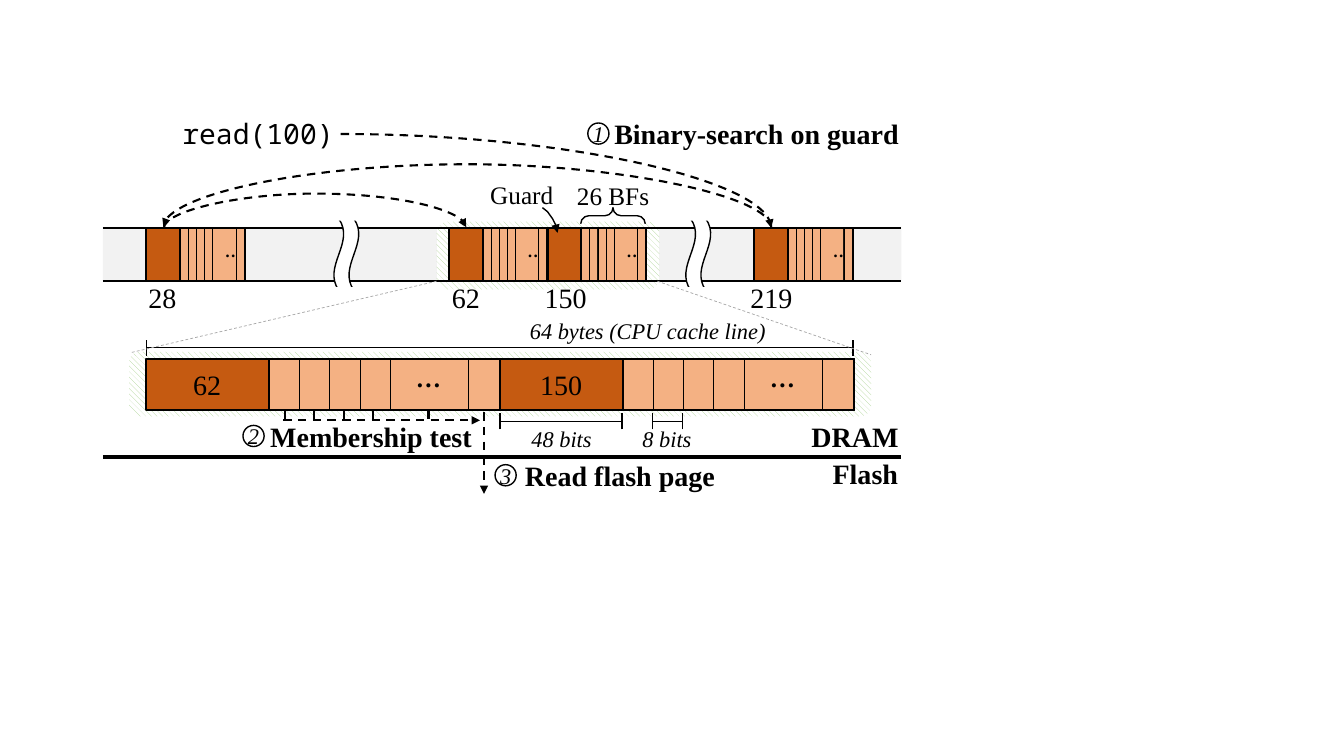
"""Build a slide that explains a guarded Bloom filter lookup in a cache line."""
from dataclasses import dataclass

from lxml import etree
from pptx import Presentation
from pptx.dml.color import RGBColor
from pptx.enum.dml import MSO_LINE, MSO_PATTERN
from pptx.enum.shapes import MSO_CONNECTOR, MSO_SHAPE
from pptx.enum.text import MSO_ANCHOR, MSO_AUTO_SIZE, PP_ALIGN
from pptx.oxml.ns import qn
from pptx.util import Cm, Pt

BLACK = RGBColor(0x00, 0x00, 0x00)
WHITE = RGBColor(0xFF, 0xFF, 0xFF)
STRIP = RGBColor(0xF2, 0xF2, 0xF2)
FILTER = RGBColor(0xF4, 0xB1, 0x83)
GUARD = RGBColor(0xC5, 0x5A, 0x11)
HATCH = RGBColor(0xA9, 0xD1, 0x8E)
GREY = RGBColor(0xA6, 0xA6, 0xA6)
SERIF, MONO = "Times New Roman", "Noto Sans Mono"
RECT, ROUND, OVAL = MSO_SHAPE.RECTANGLE, MSO_SHAPE.ROUNDED_RECTANGLE, MSO_SHAPE.OVAL
WAVE, BRACE = MSO_SHAPE.WAVE, MSO_SHAPE.RIGHT_BRACE
STRAIGHT, CURVE = MSO_CONNECTOR.STRAIGHT, MSO_CONNECTOR.CURVE
DASH, DIAGONAL = MSO_LINE.DASH, MSO_PATTERN.WIDE_DOWNWARD_DIAGONAL
CENTER, LEFT, MIDDLE = PP_ALIGN.CENTER, PP_ALIGN.LEFT, MSO_ANCHOR.MIDDLE
GROW = MSO_AUTO_SIZE.SHAPE_TO_FIT_TEXT
LINE_LEFT, LINE_RIGHT = 1.02, 8.94
STRIP_TOP, STRIP_BOTTOM = 2.26, 2.79
ELLIPSIS = "…"


@dataclass(frozen=True)
class BlockStyle:
    """Measures of one guard with its row of filters, in inches."""
    top: float
    height: float
    width: float
    guard: float
    cell: float
    wide: float
    last: float
    dots: tuple[float, float, float, float]
    dots_size: int


@dataclass(frozen=True)
class Label:
    """A text box with its place and format."""
    text: str
    at: tuple[float, float, float, float]
    size: int = 20
    font: str = SERIF
    bold: bool = False
    italic: bool = False
    wrap: bool = False
    align: PP_ALIGN = CENTER


SMALL = BlockStyle(STRIP_TOP, 0.53, 0.98, 0.33, 0.08, 0.24, 0.09, (0.7, 0.08, 0.18, 0.3), 12)
LARGE = BlockStyle(3.56, 0.51, 3.51, 1.21, 0.3, 0.87, 0.31, (2.47, -0.01, 0.66, 0.24), 18)


def inch(value: float) -> Cm:
    """Return a length given in inches."""
    return Cm(2.54 * value)


def write(frame, text: str, *, size=20, font=SERIF, bold=False, italic=False, align=CENTER):
    """Put one formatted line of text into a text frame."""
    para = frame.paragraphs[0]
    para.alignment = align
    span = para.add_run()
    span.text = text
    span.font.size, span.font.name = Pt(size), font
    span.font.bold, span.font.italic = bold, italic
    span.font.color.rgb = BLACK


def add_label(label: Label):
    """Draw a text box."""
    box = page.shapes.add_textbox(*map(inch, label.at))
    box.text_frame.word_wrap = label.wrap
    box.text_frame.auto_size = GROW
    write(box.text_frame, label.text, size=label.size, font=label.font,
          bold=label.bold, italic=label.italic, align=label.align)


def add_box(kind, left, top, width, height, fill=None, line=0.0, rotation=0, adjust=()):
    """Draw a preset shape with an optional fill and black outline."""
    box = page.shapes.add_shape(kind, *map(inch, (left, top, width, height)))
    box.shadow.inherit = False
    box.rotation = rotation
    for index, value in enumerate(adjust):
        box.adjustments[index] = value
    if fill is None:
        box.fill.background()
    else:
        box.fill.solid()
        box.fill.fore_color.rgb = fill
    if line:
        box.line.color.rgb, box.line.width = BLACK, Pt(line)
    else:
        box.line.fill.background()
    return box


def add_hatch(left: float, top: float, width: float, height: float):
    """Draw a hatched highlight behind a cache line."""
    box = add_box(ROUND, left, top, width, height)
    box.fill.patterned()
    box.fill.pattern = DIAGONAL
    box.fill.fore_color.rgb, box.fill.back_color.rgb = HATCH, WHITE


def add_arrowhead(item):
    """End an outline with a triangle."""
    etree.SubElement(item._element.spPr.find(qn("a:ln")), qn("a:tailEnd"), type="triangle")


def add_line(x1, y1, x2, y2, width=1.0, color=BLACK, dash=False, arrow=False, kind=STRAIGHT):
    """Draw a connector between two points."""
    line = page.shapes.add_connector(kind, *map(inch, (x1, y1, x2, y2)))
    line.line.color.rgb, line.line.width = color, Pt(width)
    if dash:
        line.line.dash_style = DASH
    if arrow:
        add_arrowhead(line)
    etree.SubElement(line._element.spPr, qn("a:effectLst"))
    return line


def add_curve(x1, y1, x2, y2, preset="curvedConnector3", turn=0, bulge=0):
    """Draw a dashed curved arrow, turned by degrees and bulging by a multiple of its width."""
    curve = add_line(x1, y1, x2, y2, 1.5, dash=True, arrow=True, kind=CURVE)
    curve._element.spPr.find(qn("a:xfrm")).set("rot", str(turn * 60000))
    geometry = curve._element.spPr.find(qn("a:prstGeom"))
    geometry.set("prst", preset)
    if bulge:
        guides = geometry.find(qn("a:avLst"))
        etree.SubElement(guides, qn("a:gd"), name="adj1", fmla=f"val {bulge * 100000}")


def add_block(style: BlockStyle, left: float, name: str = ""):
    """Draw a guard, its filters and their frame."""
    def cell(offset: float, width: float, fill=FILTER, line=0.5):
        return add_box(RECT, left + offset, style.top, width, style.height, fill, line)

    last = style.width - style.last
    starts = [style.guard + 0.01 + index * style.cell for index in range(4)]
    for start in starts[:2]:
        cell(start, style.cell)
    cell(last - style.wide, style.wide)
    x, y, width, height = style.dots
    add_label(Label(ELLIPSIS, (left + x, style.top + y, width, height), style.dots_size,
                    bold=True, wrap=True))
    for start in starts[2:]:
        cell(start, style.cell)
    cell(last, style.last)
    guard = cell(0, style.guard, GUARD)
    if name:
        guard.text_frame.vertical_anchor = MIDDLE
        write(guard.text_frame, name)
    cell(0, style.width, None, 1.5)


def add_break(middle: float):
    """Draw a wavy gap in the strip."""
    add_box(WAVE, middle - 0.35, 2.4, 0.71, 0.25, WHITE, 1, 270, (0.2, 0))
    add_box(RECT, middle - 0.12, 2.13, 0.27, 0.06, WHITE)
    add_box(RECT, middle - 0.19, 2.85, 0.4, 0.06, WHITE)


def add_measure(left: float, right: float, y: float):
    """Draw a dimension line with a tick at each end."""
    add_line(left, y, right, y)
    for x in (left, right):
        add_line(x, y + 0.08, x, y - 0.08)


def add_step(number: str, circle_left: float, label: Label):
    """Draw a step title with its number in a circle."""
    add_label(label)
    circle = add_box(OVAL, circle_left, label.at[1] + 0.11, 0.21, 0.21, WHITE, 1)
    frame = circle.text_frame
    frame.margin_left = frame.margin_right = frame.margin_top = frame.margin_bottom = 0
    frame.word_wrap, frame.vertical_anchor = False, MIDDLE
    write(frame, number, size=16, italic=True)


deck = Presentation()
deck.slide_width, deck.slide_height = inch(13.33), inch(7.5)
page = deck.slides.add_slide(deck.slide_layouts[6])

add_box(RECT, LINE_LEFT, 2.25, LINE_RIGHT - LINE_LEFT, 0.54, STRIP)
add_hatch(4.33, 2.2, 2.21, 0.67)
add_block(SMALL, 1.45)
add_label(Label("read(100)", (1.54, 1.11, 2.04, 0.44), font=MONO, wrap=True))
add_step("1", 5.83, Label("Binary-search on guard", (5.98, 1.11, 3.05, 0.44), bold=True))
for edge in (STRIP_TOP, STRIP_BOTTOM):
    add_line(LINE_LEFT, edge, LINE_RIGHT, edge, 1.5)
for middle in (3.43, 6.92):
    add_break(middle)

add_curve(3.38, 1.33, 7.65, 2.26, "curvedConnector2")
add_curve(4.63, 5.27, 4.64, -0.76, turn=270, bulge=64)
add_curve(3.13, 3.76, 3.12, 0.76, turn=90, bulge=35)
for key, left, width in (("28", 1.37, 0.48), ("62", 4.38, 0.48), ("219", 7.34, 0.62), ("150", 5.3, 0.62)):
    add_label(Label(key, (left, 2.73, width, 0.44)))
add_label(Label("Guard", (4.76, 1.73, 0.83, 0.4), 18))
add_label(Label("26 BFs", (5.62, 1.74, 0.92, 0.4), 18))
add_box(BRACE, 6, 1.82, 0.16, 0.64, line=1, rotation=270, adjust=(0.5, 0.5))
for left in (4.45, 5.43):
    add_block(SMALL, left)

builder = page.shapes.build_freeform(inch(5.38), inch(2.06))
bend = ((5.43, 2.1), (5.48, 2.17), (5.51, 2.23), (5.53, 2.31))
builder.add_line_segments([(inch(x), inch(y)) for x, y in bend], close=False)
pointer = builder.convert_to_shape()
pointer.shadow.inherit = False
pointer.fill.background()
pointer.line.color.rgb, pointer.line.width = BLACK, Pt(1)
add_arrowhead(pointer)
add_block(SMALL, 7.48)

add_hatch(1.28, 3.49, 7.36, 0.64)
for name, left in (("62", 1.45), ("150", 4.96)):
    add_block(LARGE, left, name)
add_label(Label("64 bytes (CPU cache line)", (5.14, 3.1, 2.57, 0.37), 16, italic=True))
add_measure(1.45, 8.46, 3.45)
add_line(4.33, STRIP_BOTTOM, 1.29, 3.5, 0.5, GREY, dash=True)
add_line(6.52, STRIP_BOTTOM, 8.64, 3.52, 0.5, GREY, dash=True)
for left, right in ((4.96, 6.17), (6.47, 6.77)):
    add_measure(left, right, 4.18)
add_label(Label("8 bits", (6.26, 4.17, 0.71, 0.37), 16, italic=True, wrap=True))
add_label(Label("48 bits", (5.16, 4.17, 0.82, 0.37), 16, italic=True, wrap=True))

add_line(2.81, 4.17, 4.76, 4.17, 1.5, dash=True, arrow=True)
add_step("2", 2.41, Label("Membership test", (2.57, 4.11, 2.22, 0.44), bold=True))
add_line(4.8, 4.09, 4.8, 4.9, 1.5, dash=True, arrow=True)
add_line(LINE_LEFT, 4.53, LINE_RIGHT, 4.53, 3)
add_label(Label("DRAM", (7.95, 4.11, 1.08, 0.44), bold=True, align=LEFT))
add_label(Label("Flash", (8.16, 4.48, 0.86, 0.44), bold=True, align=LEFT))
for x in (2.83, 3.11, 3.41, 3.7, 4.25):
    add_line(x, 4.07, x, 4.17, 1.5, dash=True)
add_step("3", 4.91, Label("Read flash page", (5.1, 4.5, 2.1, 0.44), bold=True))
deck.save("out.pptx")
